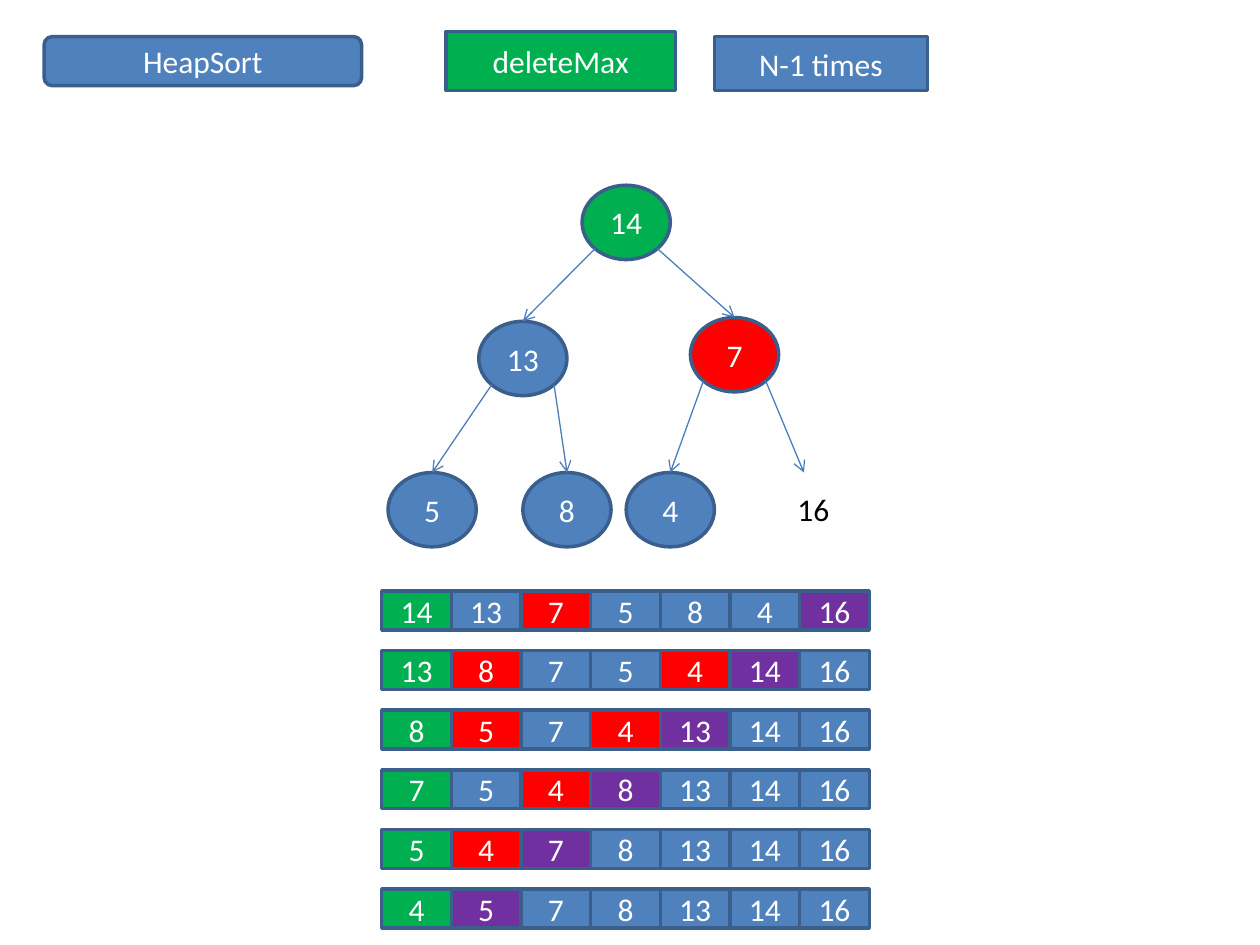
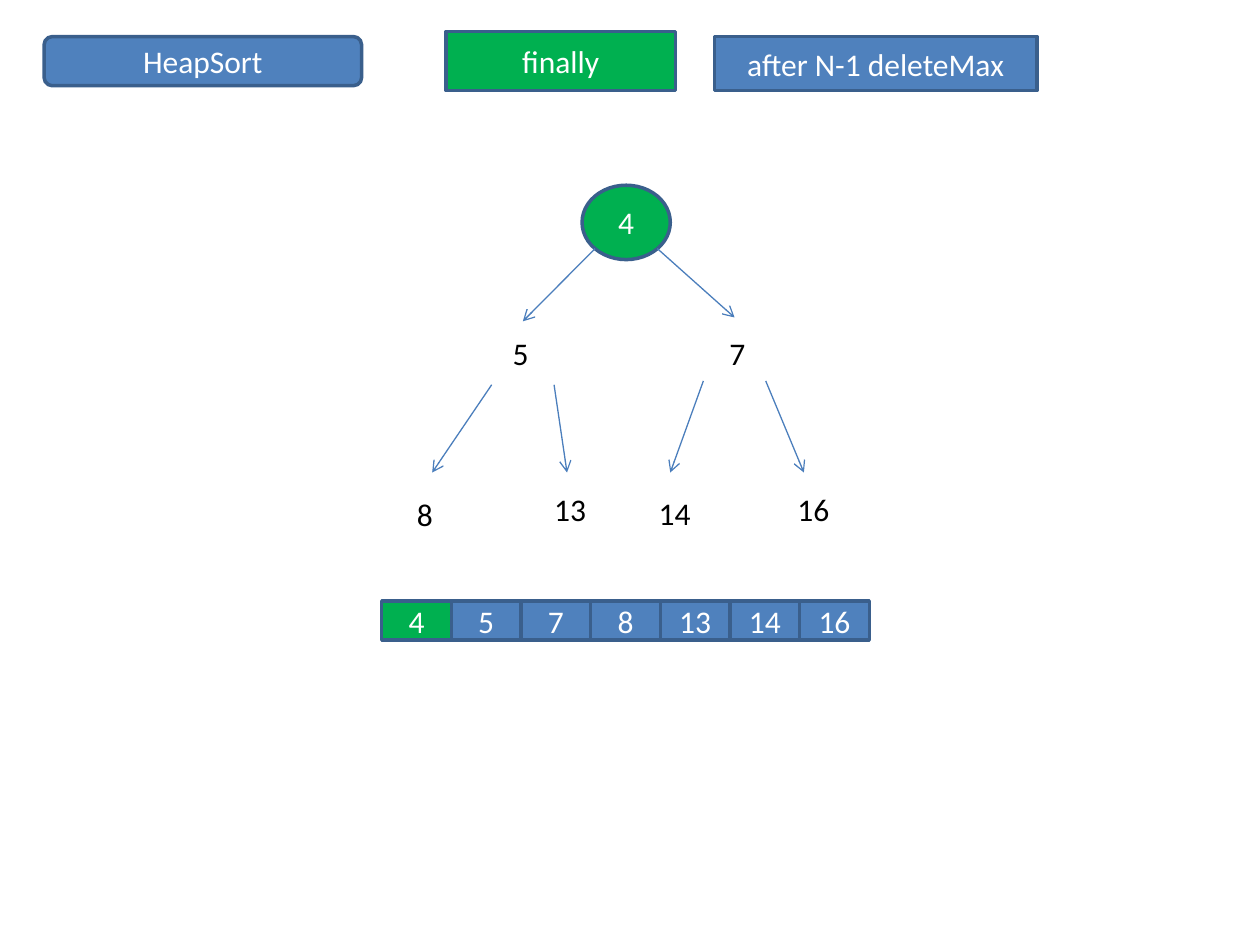
from lxml import etree
from pptx import Presentation
from pptx.dml.color import RGBColor
from pptx.enum.shapes import MSO_CONNECTOR, MSO_SHAPE as SHAPE
from pptx.enum.text import MSO_ANCHOR, MSO_AUTO_SIZE, PP_ALIGN
from pptx.oxml.ns import qn
from pptx.util import Inches, Pt

FONT, SIZE = "Calibri", 18
BLUE, GREEN, RED, PURPLE = "4F81BD", "00B050", "FF0000", "7030A0"
OUTLINE, ARROW, WHITE, BLACK = "3A5F8C", "4B7EBC", "FFFFFF", "000000"
FILLS = {"b": BLUE, "g": GREEN, "r": RED, "p": PURPLE}

# Heap tree: node offsets in heap order, measured from the tree's corner
TREE = (3.08, 1.47)
NODE_W, NODE_H = 0.7, 0.59
NODES = [(1.54, 0), (0.72, 1.08), (2.4, 1.05),
         (0, 2.28), (1.07, 2.28), (1.89, 2.28), (2.95, 2.28)]
DIAGONAL = 0.5 ** 0.5 / 2  # where an ellipse meets its 45 degree corner

# Array rows
ARRAY_LEFT, ARRAY_W, CELL_H, ROW_STEP = 3.03, 3.87, 0.31, 0.473


def rgb(value):
    return RGBColor.from_string(value)


def style_text(sp, text, color, align):
    p = sp.text_frame.paragraphs[0]
    p.text = text
    p.alignment = align
    p.font.name, p.font.size = FONT, Pt(SIZE)
    p.font.color.rgb = rgb(color)


def add_box(slide, kind, box, text, fill):
    sp = slide.shapes.add_shape(kind, *map(Inches, box))
    sp.shadow.inherit = False
    sp.fill.solid()
    sp.fill.fore_color.rgb = rgb(fill)
    sp.line.color.rgb = rgb(OUTLINE)
    sp.line.width = Pt(2)
    sp.text_frame.vertical_anchor = MSO_ANCHOR.MIDDLE
    style_text(sp, text, WHITE, PP_ALIGN.CENTER)


def add_label(slide, left, top, text):
    width = 0.33 if len(text) == 1 else 0.46
    sp = slide.shapes.add_textbox(*map(Inches, (left, top, width, 0.4)))
    sp.text_frame.word_wrap = False
    sp.text_frame.auto_size = MSO_AUTO_SIZE.SHAPE_TO_FIT_TEXT
    style_text(sp, text, BLACK, PP_ALIGN.LEFT)


def add_arrow(slide, start, end):
    line = slide.shapes.add_connector(MSO_CONNECTOR.STRAIGHT,
                                      *map(Inches, (*start, *end)))
    line.line.color.rgb = rgb(ARROW)
    line.line.width = Pt(0.75)
    etree.SubElement(line.line._get_or_add_ln(), qn("a:tailEnd"), type="arrow")
    etree.SubElement(line._element.spPr, qn("a:effectLst"))


def add_header(slide, stage, note, note_w):
    add_box(slide, SHAPE.ROUNDED_RECTANGLE, (0.35, 0.29, 2.52, 0.39), "HeapSort", BLUE)
    add_box(slide, SHAPE.RECTANGLE, (3.54, 0.25, 1.82, 0.47), stage, GREEN)
    add_box(slide, SHAPE.RECTANGLE, (5.67, 0.29, note_w, 0.43), note, BLUE)


def add_tree(slide, origin, values, colors, removed):
    """Draw the heap; removed maps a node index to its plain label's offset."""
    left, top = origin
    spots = [(left + x, top + y) for x, y in NODES]

    # Nodes still in the heap, and bare numbers for those taken out
    for i, (x, y) in enumerate(spots):
        if i in removed:
            dx, dy = removed[i]
            add_label(slide, x + dx, y + dy, values[i])
        else:
            add_box(slide, SHAPE.OVAL, (x, y, NODE_W, NODE_H), values[i], FILLS[colors[i]])

    # Each child hangs from a lower corner of its parent
    for child in range(1, len(spots)):
        px, py = spots[(child - 1) // 2]
        side = -1 if child % 2 else 1
        start = (px + NODE_W * (0.5 + side * DIAGONAL), py + NODE_H * (0.5 + DIAGONAL))
        x, y = spots[child]
        add_arrow(slide, start, (x + NODE_W / 2, y))


def add_arrays(slide, top, rows):
    for r, (values, colors) in enumerate(rows):
        cells = values.split()
        cell_w = ARRAY_W / len(cells)
        for c, (value, color) in enumerate(zip(cells, colors)):
            box = (ARRAY_LEFT + c * cell_w, top + r * ROW_STEP, cell_w, CELL_H)
            add_box(slide, SHAPE.RECTANGLE, box, value, FILLS[color])


def build_slide(prs, header, rows, array_top, removed):
    slide = prs.slides.add_slide(prs.slide_layouts[6])
    values, colors = rows[0]
    add_header(slide, *header)
    add_tree(slide, TREE, values.split(), colors, removed)
    add_arrays(slide, array_top, rows)


def main():
    prs = Presentation()
    prs.slide_width, prs.slide_height = Inches(10), Inches(7.5)

    # Array after every deleteMax: green root, red moved, purple just placed
    steps = [("14 13 7 5 8 4 16", "gbrbbbp"),
             ("13 8 7 5 4 14 16", "grbbrpb"),
             ("8 5 7 4 13 14 16", "grbrpbb"),
             ("7 5 4 8 13 14 16", "gbrpbbb"),
             ("5 4 7 8 13 14 16", "grpbbbb"),
             ("4 5 7 8 13 14 16", "gpbbbbb")]
    last_label = {6: (0.2, 0.09)}
    build_slide(prs, ("deleteMax", "N-1 times", 1.69), steps, 4.69, last_label)

    # Sorted result
    result = [("4 5 7 8 13 14 16", "gbbbbbb")]
    labels = {1: (0.17, 0.05), 2: (0.21, 0.08), 3: (0.13, 0.13),
              4: (0.15, 0.09), 5: (0.16, 0.12), **last_label}
    build_slide(prs, ("finally", "after N-1 deleteMax", 2.56), result, 4.77, labels)

    prs.save("out.pptx")


if __name__ == "__main__":
    main()
